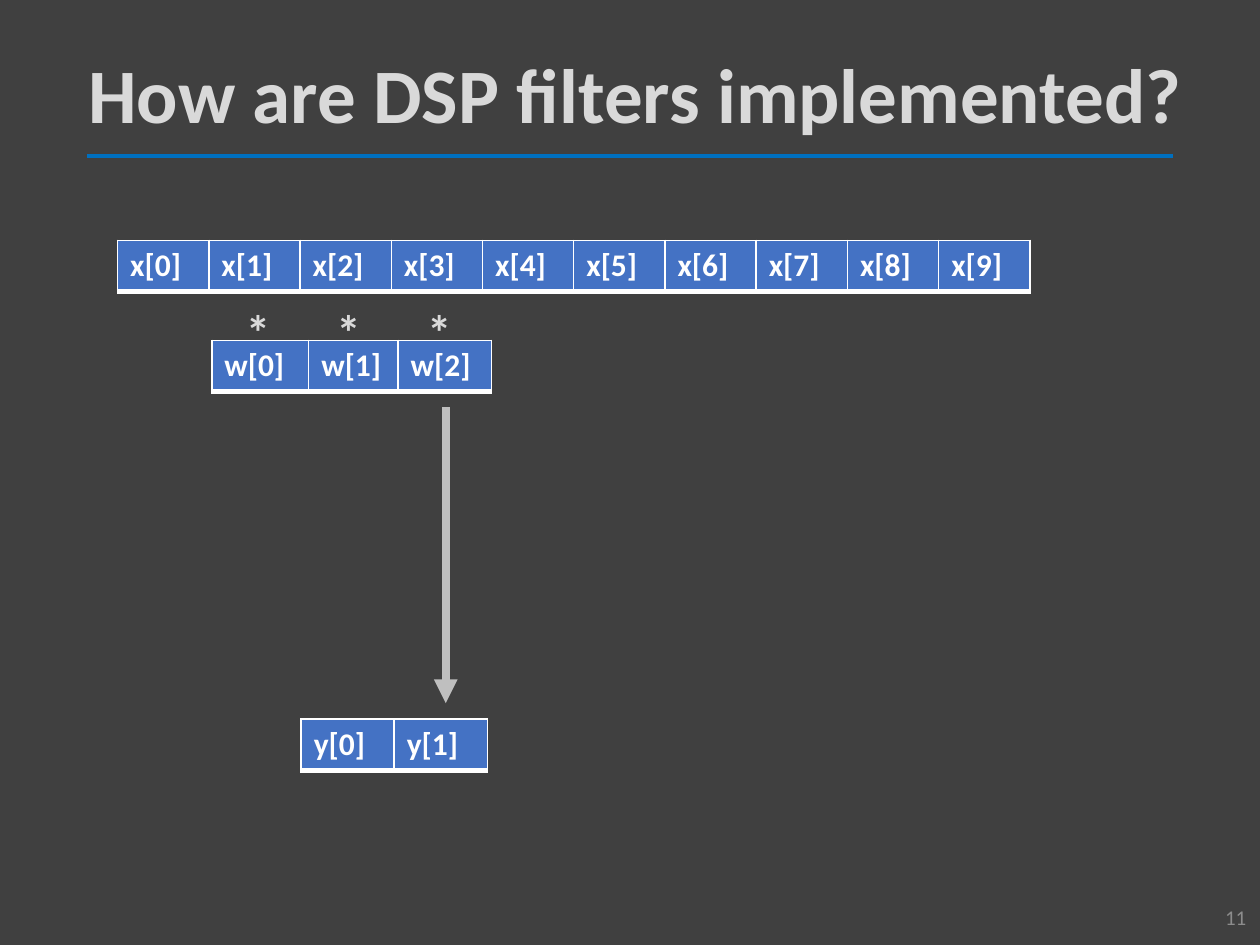
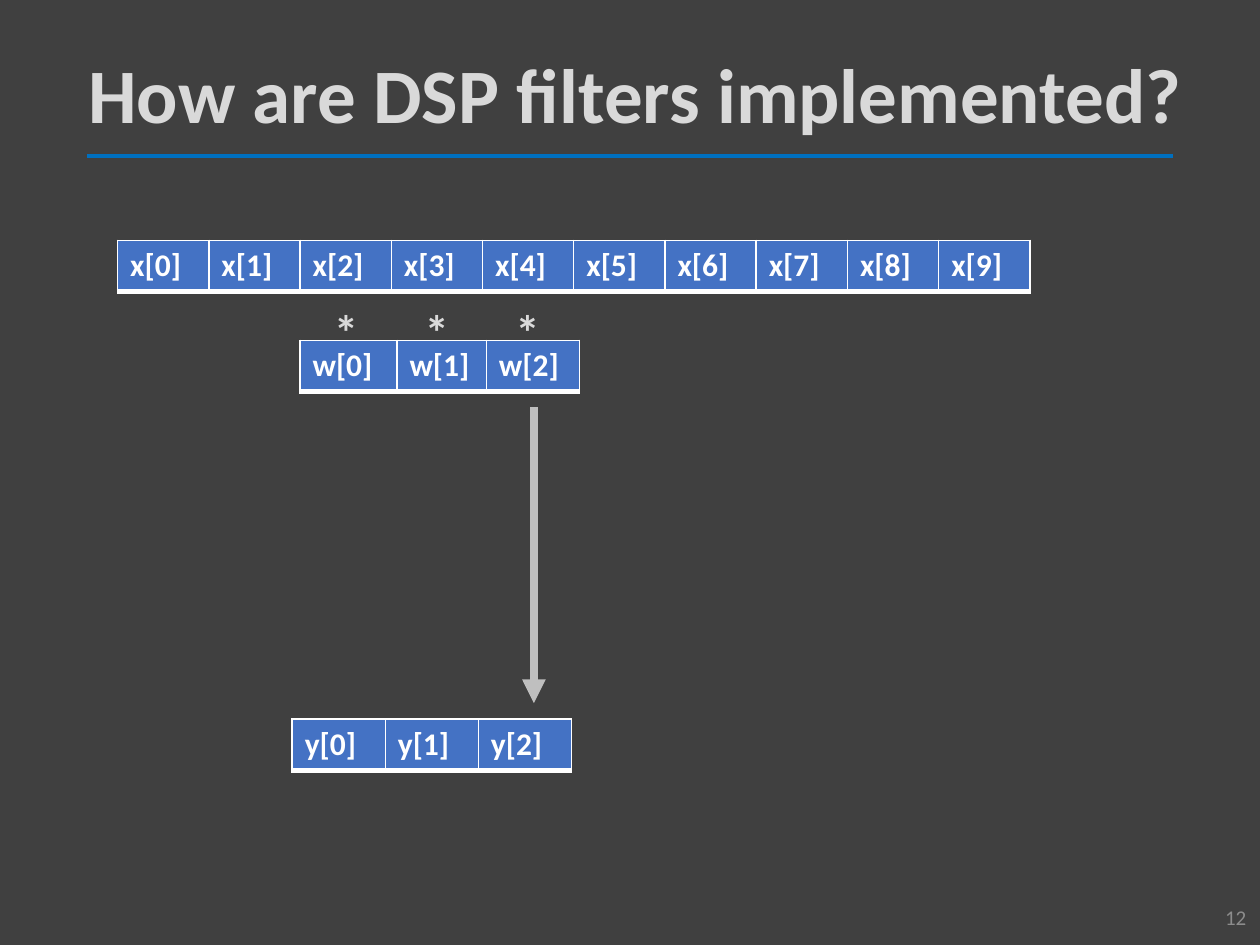
from lxml import etree
from pptx import Presentation
from pptx.dml.color import RGBColor
from pptx.enum.shapes import MSO_CONNECTOR as CONN
from pptx.enum.text import MSO_ANCHOR as ANCHOR, PP_ALIGN as ALIGN
from pptx.oxml import parse_xml
from pptx.oxml.ns import nsdecls, qn
from pptx.util import Pt

FONT = "Calibri"
BACK, RULE, CELL, WHITE = "404040", "0070C0", "4472C4", "FFFFFF"
LIGHT, ARROW, NUMBER = "D9D9D9", "BFBFBF", "8C8C8C"
ROW_H = 29.2
BORDERS = {"lnL": 1, "lnR": 1, "lnT": 1, "lnB": 3}
X_WIDTHS = [52.13] * 10
W_WIDTHS = [55.4, 51.1, 53.3]
Y_WIDTH = 53.2
STAR_START, STAR_STEP = 12.4, 51.8


def color(value):
    return RGBColor.from_string(value)


def add_run(p, text, size, value, bold=True):
    r = p.add_run()
    r.text = text
    r.font.name = FONT
    r.font.size = Pt(size)
    r.font.bold = bold
    r.font.color.rgb = color(value)


prs = Presentation()
prs.slide_width, prs.slide_height = Pt(720), Pt(540)

for number, w_left, y_left, y_count in [(11, 121, 172.1, 2), (12, 171.4, 167, 3)]:
    s = prs.slides.add_slide(prs.slide_layouts[6])
    s.background.fill.solid()
    s.background.fill.fore_color.rgb = color(BACK)

    arrow_x = w_left + 133.7
    for x1, y1, x2, y2, value, width, head in [
        (49.7, 89.2, 670.3, 89.2, RULE, 2.25, False),
        (arrow_x, 232.6, arrow_x, 401.8, ARROW, 4.5, True),
    ]:
        line = s.shapes.add_connector(CONN.STRAIGHT, Pt(x1), Pt(y1), Pt(x2), Pt(y2))
        line.line.color.rgb = color(value)
        line.line.width = Pt(width)
        if head:
            ln = line.line._get_or_add_ln()
            etree.SubElement(ln, qn("a:tailEnd")).set("type", "triangle")
        etree.SubElement(line._element.spPr, qn("a:effectLst"))

    stars = "\t*" * len(W_WIDTHS)
    for left, top, width, height, text, size, value, bold, align, anchor in [
        (36.7, 17.3, 653, 78.5, "How are DSP filters implemented?", 44, LIGHT, True,
         ALIGN.CENTER, ANCHOR.MIDDLE),
        (557.3, 509.8, 162, 28.8, str(number), 12, NUMBER, False,
         ALIGN.RIGHT, ANCHOR.MIDDLE),
        (w_left, 168.5, 161.3, 41.2, stars, 28, LIGHT, True,
         ALIGN.LEFT, ANCHOR.TOP),
    ]:
        tf = s.shapes.add_textbox(Pt(left), Pt(top), Pt(width), Pt(height)).text_frame
        tf.word_wrap = True
        tf.vertical_anchor = anchor
        p = tf.paragraphs[0]
        p.alignment = align
        if size == 44:
            p.line_spacing = 0.9
        if text == stars:
            tabs = etree.SubElement(p._p.get_or_add_pPr(), qn("a:tabLst"))
            for i in range(len(W_WIDTHS)):
                tab = etree.SubElement(tabs, qn("a:tab"))
                tab.set("pos", str(int(Pt(STAR_START + i * STAR_STEP))))
                tab.set("algn", "l")
        add_run(p, text, size, value, bold)

    for name, left, top, widths in [
        ("x", 67.2, 137.3, X_WIDTHS),
        ("w", w_left, 194.5, W_WIDTHS),
        ("y", y_left, 410.9, [Y_WIDTH] * y_count),
    ]:
        table = s.shapes.add_table(1, len(widths), Pt(left), Pt(top),
                                   Pt(sum(widths)), Pt(ROW_H)).table
        for i, width in enumerate(widths):
            table.columns[i].width = Pt(width)
            cell = table.cell(0, i)
            tcPr = cell._tc.get_or_add_tcPr()
            for side, weight in BORDERS.items():
                tcPr.append(parse_xml(
                    f'<a:{side} {nsdecls("a")} w="{int(Pt(weight))}"><a:solidFill>'
                    f'<a:srgbClr val="{WHITE}"/></a:solidFill></a:{side}>'))
            cell.fill.solid()
            cell.fill.fore_color.rgb = color(CELL)
            add_run(cell.text_frame.paragraphs[0], f"{name}[{i}]", 18, WHITE)

prs.save("out.pptx")
